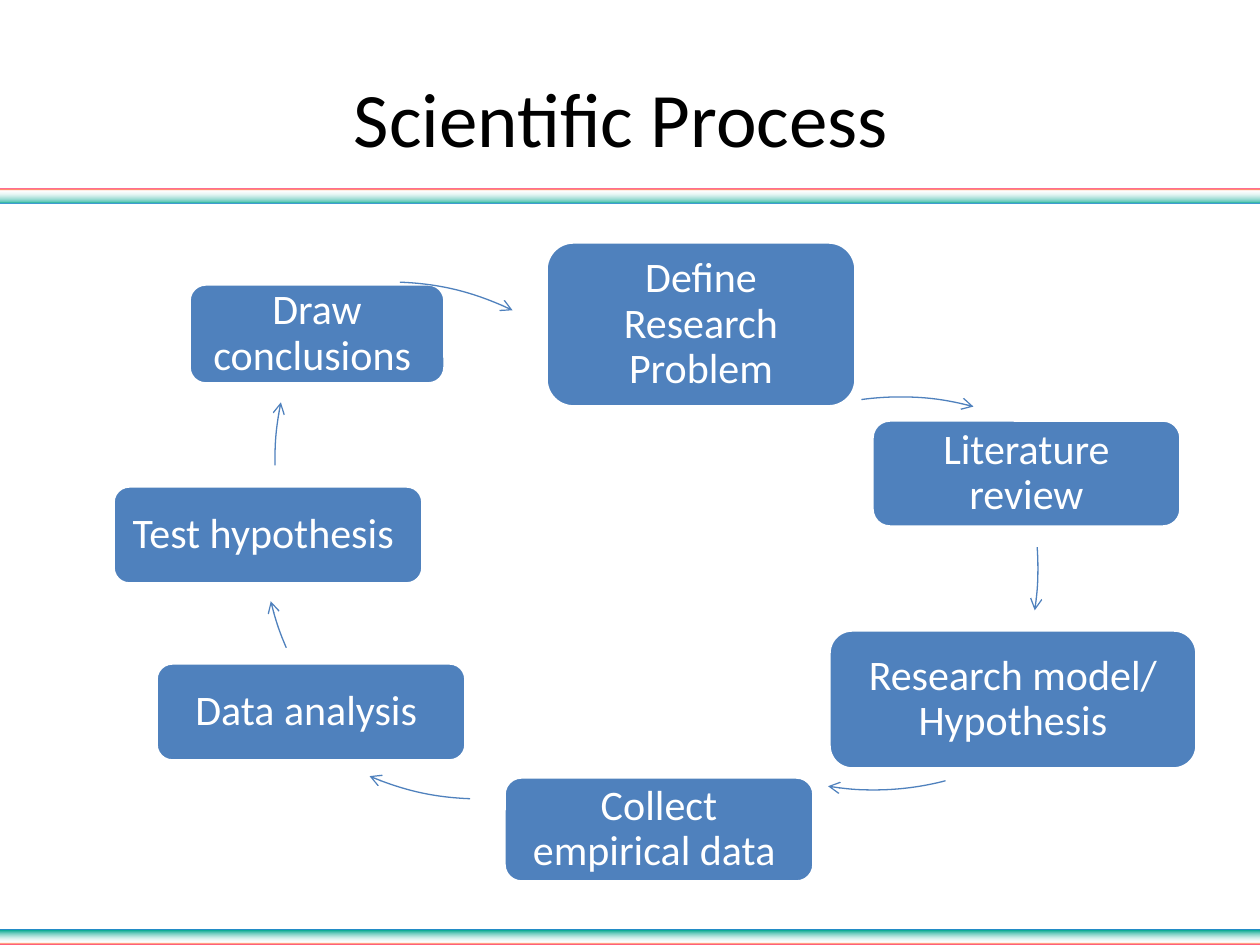
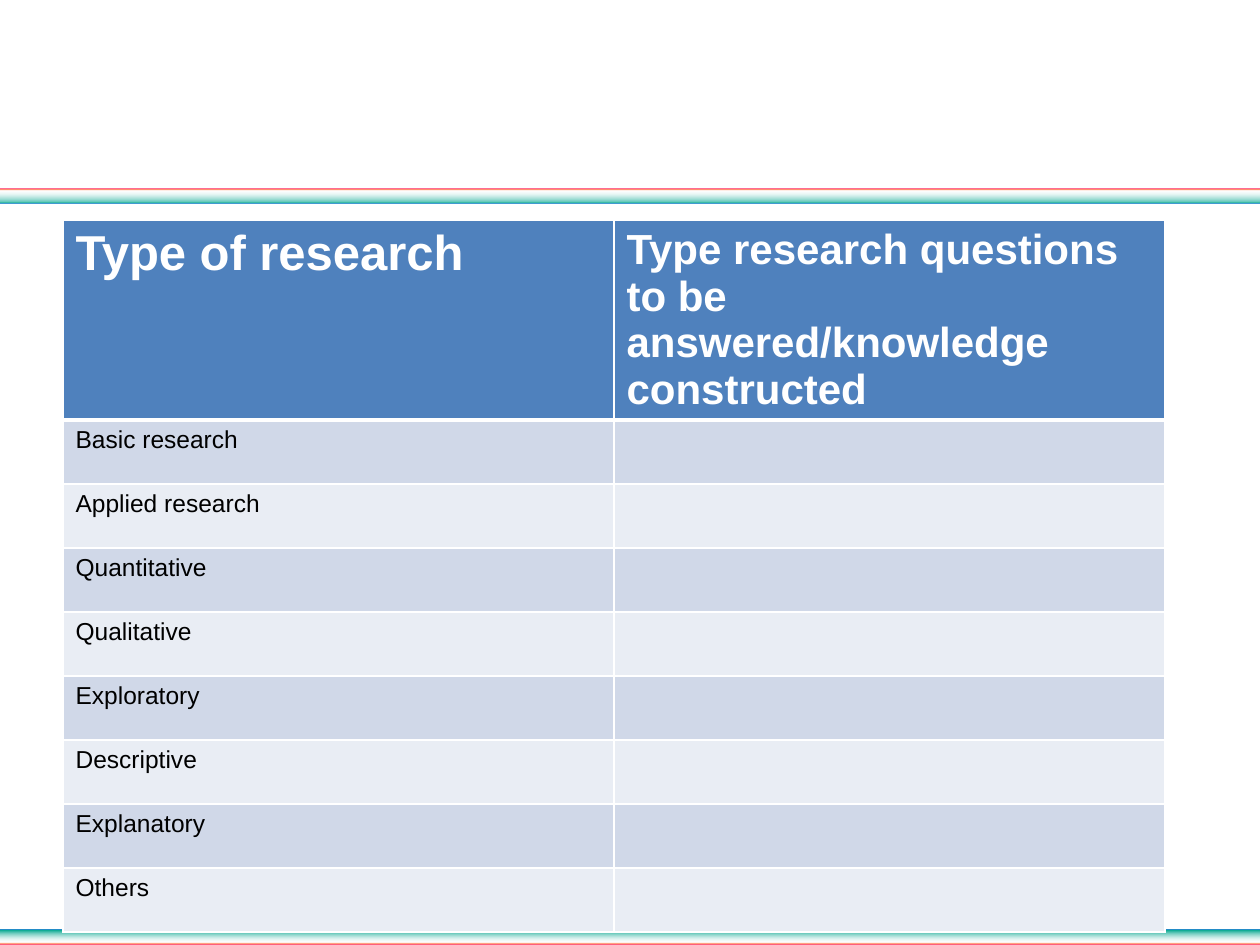
from lxml import etree
from pptx import Presentation
from pptx.dml.color import RGBColor
from pptx.enum.shapes import MSO_SHAPE
from pptx.enum.text import MSO_ANCHOR, PP_ALIGN
from pptx.oxml.ns import qn
from pptx.util import Emu, Pt

EMU_PER_INCH = 914400
PX_PER_INCH = 126

WHITE = RGBColor(0xFF, 0xFF, 0xFF)
BLACK = RGBColor(0x00, 0x00, 0x00)
BLUE = RGBColor(0x4F, 0x81, 0xBD)
ROW_DARK = RGBColor(0xD0, 0xD8, 0xE8)
ROW_LIGHT = RGBColor(0xE9, 0xED, 0xF4)
PINK = RGBColor(0xFF, 0x33, 0x99)
ORANGE = RGBColor(0xFF, 0x66, 0x33)
AQUA = RGBColor(0x5A, 0xC6, 0xB6)
TEAL = RGBColor(0x01, 0xA7, 0x8F)
BAND_BLUE = RGBColor(0x33, 0x66, 0xFF)

# Band stops: position in percent, colour, opacity in percent
TOP_STOPS = [(0, PINK, 100), (6, ORANGE, 100), (17, WHITE, 31),
             (89, AQUA, 100), (95, TEAL, 100), (100, BAND_BLUE, 100)]
BOTTOM_STOPS = [(0, PINK, 100), (6, ORANGE, 100), (18, WHITE, 31),
                (95, TEAL, 100), (100, BAND_BLUE, 100)]

HEADING_FONT = "Calibri"
TABLE_FONT = "Arial"
TITLE_BOX = (63, 38, 1134, 157)
CYCLE_BOX = (113, 242, 1084, 640)
TABLE_BOX = (63, 220, 1102, 685)

# Each step: text, box, then the corner of its arrow's circle and the
# clockwise angles in degrees; places are relative to CYCLE_BOX
CIRCLE = 568
STEPS = [
    ("Draw conclusions ", (76, 42, 256, 100), (-8, 40), (272.2, 295.8)),
    ("Define Research Problem", (433, 0, 310, 165), (503, 155), (262.2, 285)),
    ("Literature review", (759, 178, 309, 107), (357, 42), (355.8, 8.6)),
    ("Research model/ Hypothesis", (716, 388, 368, 139), (477, -20), (75.4, 99.3)),
    ("Collect empirical data ", (391, 535, 310, 105), (84, -11), (92.2, 113.1)),
    ("Data analysis ", (43, 421, 310, 98), (150, 9), (156.6, 166.5)),
    ("Test hypothesis ", (0, 244, 310, 98), (162, -66), (178.9, 191.7)),
]

HEADERS = [("Type of research", 28),
           ("Type research questions to be answered/knowledge constructed", 24)]
RESEARCH_TYPES = ["Basic research", "Applied research", "Quantitative", "Qualitative",
                  "Exploratory", "Descriptive", "Explanatory", "Others"]
HEADER_HEIGHT = 173


def px(*lengths):
    return [Emu(round(length * EMU_PER_INCH / PX_PER_INCH)) for length in lengths]


def format_text(frame, font, size, color, bold=False):
    for para in frame.paragraphs:
        for span in para.runs:
            span.font.name = font
            span.font.size = Pt(size)
            span.font.color.rgb = color
            span.font.bold = bold


def add_plain_shape(slide, kind, box):
    shape = slide.shapes.add_shape(kind, *px(*box))
    shape.shadow.inherit = False
    return shape


def add_color(parent, color, opacity=100):
    node = etree.SubElement(parent, qn("a:srgbClr"), val=str(color))
    if opacity < 100:
        etree.SubElement(node, qn("a:alpha"), val=str(opacity * 1000))


def add_master_band(deck, slide, box, stops, angle):
    """Draw a gradient band and move it to the slide master."""
    band = add_plain_shape(slide, MSO_SHAPE.RECTANGLE, box)
    band.line.fill.background()
    band.fill.gradient()
    band.fill.gradient_angle = angle
    stop_list = band.element.spPr.find(qn("a:gradFill")).find(qn("a:gsLst"))
    for old_stop in list(stop_list):
        stop_list.remove(old_stop)
    for position, color, opacity in stops:
        stop = etree.SubElement(stop_list, qn("a:gs"), pos=str(position * 1000))
        add_color(stop, color, opacity)
    deck.slide_master.shapes.element.append(band.element)


def add_title(slide, text, box):
    title = slide.shapes.title
    title.left, title.top, title.width, title.height = px(*box)
    frame = title.text_frame
    frame.text = text
    frame.vertical_anchor = MSO_ANCHOR.MIDDLE
    frame.paragraphs[0].alignment = PP_ALIGN.CENTER
    format_text(frame, HEADING_FONT, 44, BLACK)


def add_step(slide, text, box):
    step = add_plain_shape(slide, MSO_SHAPE.ROUNDED_RECTANGLE, box)
    step.fill.solid()
    step.fill.fore_color.rgb = BLUE
    step.line.color.rgb = WHITE
    step.line.width = Pt(2)
    frame = step.text_frame
    frame.text = text
    frame.word_wrap = True
    frame.vertical_anchor = MSO_ANCHOR.MIDDLE
    frame.margin_left = frame.margin_right = Pt(7.2)
    frame.margin_top = frame.margin_bottom = Pt(7.2)
    frame.paragraphs[0].alignment = PP_ALIGN.CENTER
    frame.paragraphs[0].line_spacing = 0.9
    format_text(frame, HEADING_FONT, 24, WHITE)


def add_curved_arrow(slide, left, top, angles):
    arrow = add_plain_shape(slide, MSO_SHAPE.ARC, (left, top, CIRCLE, CIRCLE))
    for index, degrees in enumerate(angles):
        # An angle is stored in 60000ths of a degree, an adjustment in 100000ths
        arrow.adjustments[index] = degrees * 0.6
    arrow.fill.background()
    arrow.line.color.rgb = BLUE
    arrow.line.width = Pt(0.75)
    etree.SubElement(arrow.element.spPr.find(qn("a:ln")), qn("a:tailEnd"), type="arrow")


def add_cycle(slide, box):
    left, top = box[:2]
    for text, (x, y, width, height), (circle_x, circle_y), angles in STEPS:
        add_step(slide, text, (left + x, top + y, width, height))
        add_curved_arrow(slide, left + circle_x, top + circle_y, angles)


def set_borders(cell, top, bottom):
    """Give a cell white borders; top and bottom are widths in points."""
    properties = cell._tc.get_or_add_tcPr()
    widths = {"a:lnL": 1, "a:lnR": 1, "a:lnT": top, "a:lnB": bottom}
    for index, (tag, width) in enumerate(widths.items()):
        border = etree.Element(qn(tag), w=str(Pt(width)))
        add_color(etree.SubElement(border, qn("a:solidFill")), WHITE)
        properties.insert(index, border)


def style_cell(cell, fill, top=1, bottom=1):
    cell.fill.solid()
    cell.fill.fore_color.rgb = fill
    set_borders(cell, top, bottom)


def add_research_table(slide, box):
    width, height = box[2:]
    row_count = len(RESEARCH_TYPES) + 1
    table = slide.shapes.add_table(row_count, len(HEADERS), *px(*box)).table
    for column in table.columns:
        column.width = px(width / len(HEADERS))[0]
    for row in table.rows:
        row.height = px((height - HEADER_HEIGHT) / len(RESEARCH_TYPES))[0]
    table.rows[0].height = px(HEADER_HEIGHT)[0]

    for column, (text, size) in enumerate(HEADERS):
        cell = table.cell(0, column)
        cell.text_frame.text = text
        format_text(cell.text_frame, TABLE_FONT, size, WHITE, bold=True)
        style_cell(cell, BLUE, bottom=3)
    for row, text in enumerate(RESEARCH_TYPES, start=1):
        name = table.cell(row, 0)
        name.text_frame.text = text
        format_text(name.text_frame, TABLE_FONT, 14, BLACK)
        for cell in table.rows[row].cells:
            style_cell(cell, ROW_DARK if row % 2 else ROW_LIGHT, top=3 if row == 1 else 1)


def main():
    deck = Presentation()
    deck.slide_width, deck.slide_height = px(1260, 945)
    title_only, blank = deck.slide_layouts[5], deck.slide_layouts[6]

    process = deck.slides.add_slide(title_only)
    add_master_band(deck, process, (-10, 930, 1270, 15), BOTTOM_STOPS, angle=90)
    add_master_band(deck, process, (-10, 189, 1278, 15), TOP_STOPS, angle=270)
    add_title(process, "Scientific Process ", TITLE_BOX)
    add_cycle(process, CYCLE_BOX)

    research = deck.slides.add_slide(blank)
    add_research_table(research, TABLE_BOX)

    deck.save("out.pptx")


if __name__ == "__main__":
    main()
